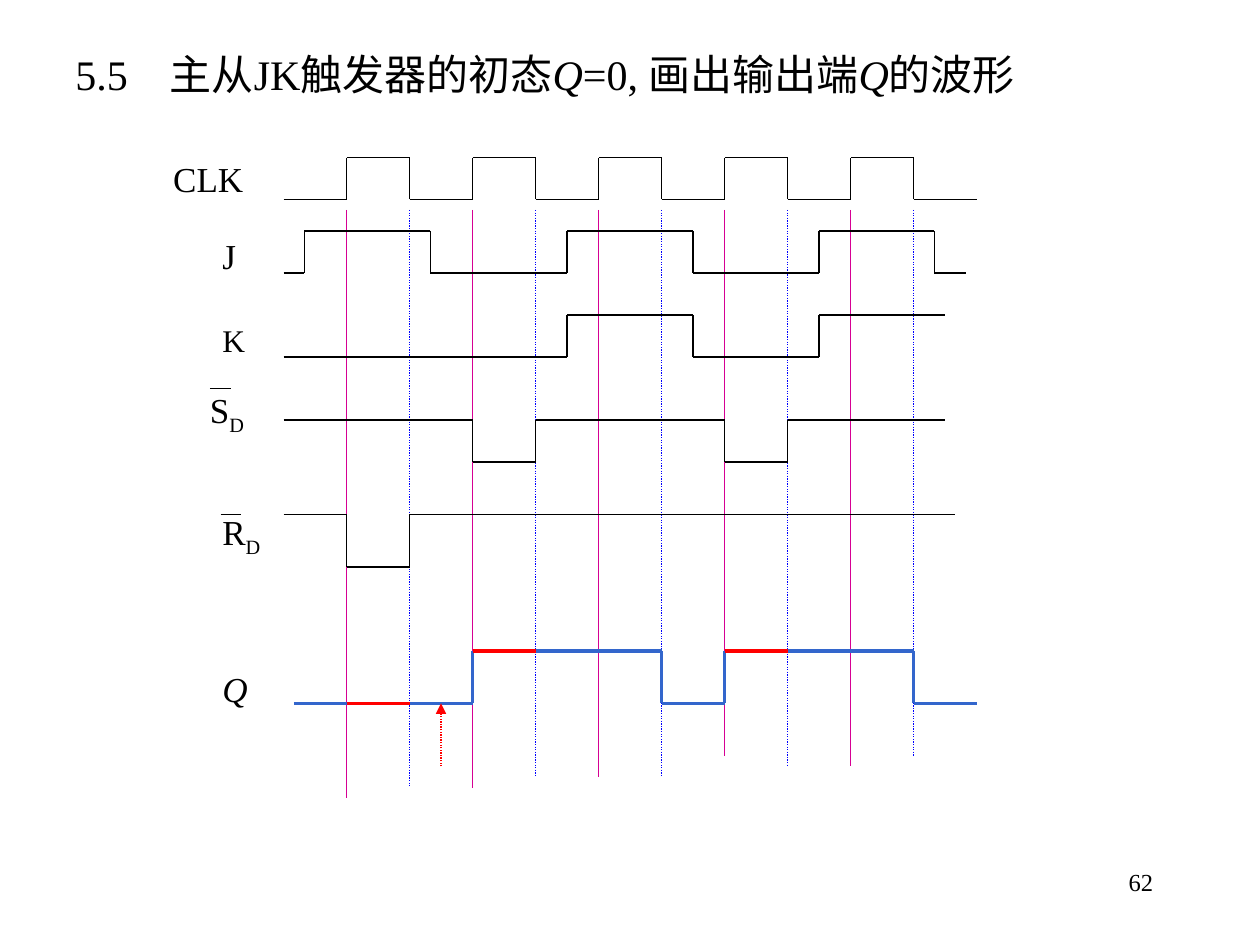
from lxml.etree import SubElement
from pptx import Presentation
from pptx.dml.color import RGBColor as RGB
from pptx.enum.dml import MSO_LINE as DASH
from pptx.enum.shapes import MSO_CONNECTOR as CONN
from pptx.enum.text import PP_ALIGN as ALIGN
from pptx.oxml.ns import qn
from pptx.util import Emu, Pt

PX = 9525
BLACK = RGB(0x00, 0x00, 0x00)
PINK = RGB(0xD6, 0x00, 0x93)
BLUE = RGB(0x00, 0x00, 0xFF)
RED = RGB(0xFF, 0x00, 0x00)
STEEL = RGB(0x33, 0x66, 0xCC)


class Sheet:
    font = "Times New Roman"

    def __init__(self, prs):
        self.s = prs.slides.add_slide(prs.slide_layouts[6])

    def text(self, box, runs, size=20, align=ALIGN.LEFT, inset=True, wrap=True, tab=None):
        sp = self.s.shapes.add_textbox(*(Emu(v * PX) for v in box))
        tf = sp.text_frame
        tf.word_wrap = wrap
        if not inset:
            for side in ("left", "top", "right", "bottom"):
                setattr(tf, f"margin_{side}", 0)
        p = tf.paragraphs[0]
        p.alignment = align
        if tab:
            tabs = SubElement(p._p.get_or_add_pPr(), qn("a:tabLst"))
            SubElement(tabs, qn("a:tab"), pos=str(tab * PX), algn="l")
        for words, kind in runs:
            r = p.add_run()
            r.text = words
            look = {"name": self.font, "size": Pt(size), "italic": kind == "italic"}
            for key, value in look.items():
                setattr(r.font, key, value)
            r.font.color.rgb = BLACK
            if kind == "sub":
                r._r.get_or_add_rPr().set("baseline", "-25000")

    def line(self, x1, y1, x2, y2, color=BLACK, width=0.75, dash=None, arrow=False):
        sp = self.s.shapes.add_connector(CONN.STRAIGHT, *(Emu(v * PX) for v in (x1, y1, x2, y2)))
        sp.line.color.rgb = color
        for key, value in {"width": Pt(width), "dash_style": dash}.items():
            setattr(sp.line, key, value)
        if arrow:
            SubElement(sp.line._get_or_add_ln(), qn("a:tailEnd"), type="triangle")
        SubElement(sp._element.spPr, qn("a:effectLst"))

    def wave(self, x, steps, color=BLACK, width=0.75, marked=()):
        last = steps[0][1]
        for end, y in steps:
            if y != last:
                self.line(x, last, x, y, color, width)
            self.line(x, y, end, y, RED if x in marked else color, width)
            x, last = end, y


def alternate(ends, first, second):
    return [(x, second if i % 2 else first) for i, x in enumerate(ends)]


def main():
    prs = Presentation()
    prs.slide_width, prs.slide_height = Emu(960 * PX), Emu(720 * PX)
    sheet = Sheet(prs)

    sheet.text((688, 656, 200, 48), [("62", "")], size=14, align=ALIGN.RIGHT)
    title = [("5.5\t主从JK触发器的初态", ""), ("Q", "italic"), ("=0, 画出输出端", ""),
             ("Q", "italic"), ("的波形", "")]
    sheet.text((48, 32, 757, 86), title, size=24, tab=72)

    left, half = 216, 48
    edges = [left + half * i for i in range(1, 11)]
    sheet.text((132, 120, 69, 32), [("CLK", "")], inset=False)
    sheet.wave(left, alternate(edges + [744], 152, 120))

    for x, bottom in zip(edges[::2], (608, 600, 592, 576, 584)):
        sheet.line(x, 160, x, bottom, PINK)
    for x, bottom in zip(edges[1::2], (600, 592, 592, 584, 576)):
        sheet.line(x, 160, x, bottom, BLUE, dash=DASH.ROUND_DOT)

    sheet.text((160, 174, 30, 42), [("J", "")], wrap=False)
    sheet.wave(left, alternate((232, 328, 432, 528, 624, 712, 736), 208, 176))

    sheet.text((160, 240, 45, 38), [("K", "")], size=18)
    sheet.wave(left, alternate((432, 528, 624, 720), 272, 240))

    sheet.text((160, 296, 40, 36), [("S", ""), ("D", "sub")], inset=False)
    sheet.line(160, 296, 176, 296)
    sheet.wave(left, alternate((360, 408, 552, 600, 720), 320, 352))

    sheet.text((160, 384, 56, 46), [("R", ""), ("D", "sub")])
    sheet.line(168, 392, 184, 392)
    sheet.wave(left, alternate((264, 312, 728), 392, 432))

    sheet.text((160, 504, 40, 42), [("Q", "italic")])
    low, high = 536, 496
    levels = [low] * 3 + [high] * 3 + [low] + [high] * 3 + [low]
    sheet.wave(224, list(zip(edges + [744], levels)), STEEL, 2.25, marked=(264, 360, 552))
    sheet.line(336, 584, 336, low, RED, dash=DASH.ROUND_DOT, arrow=True)

    prs.save("out.pptx")


if __name__ == "__main__":
    main()
